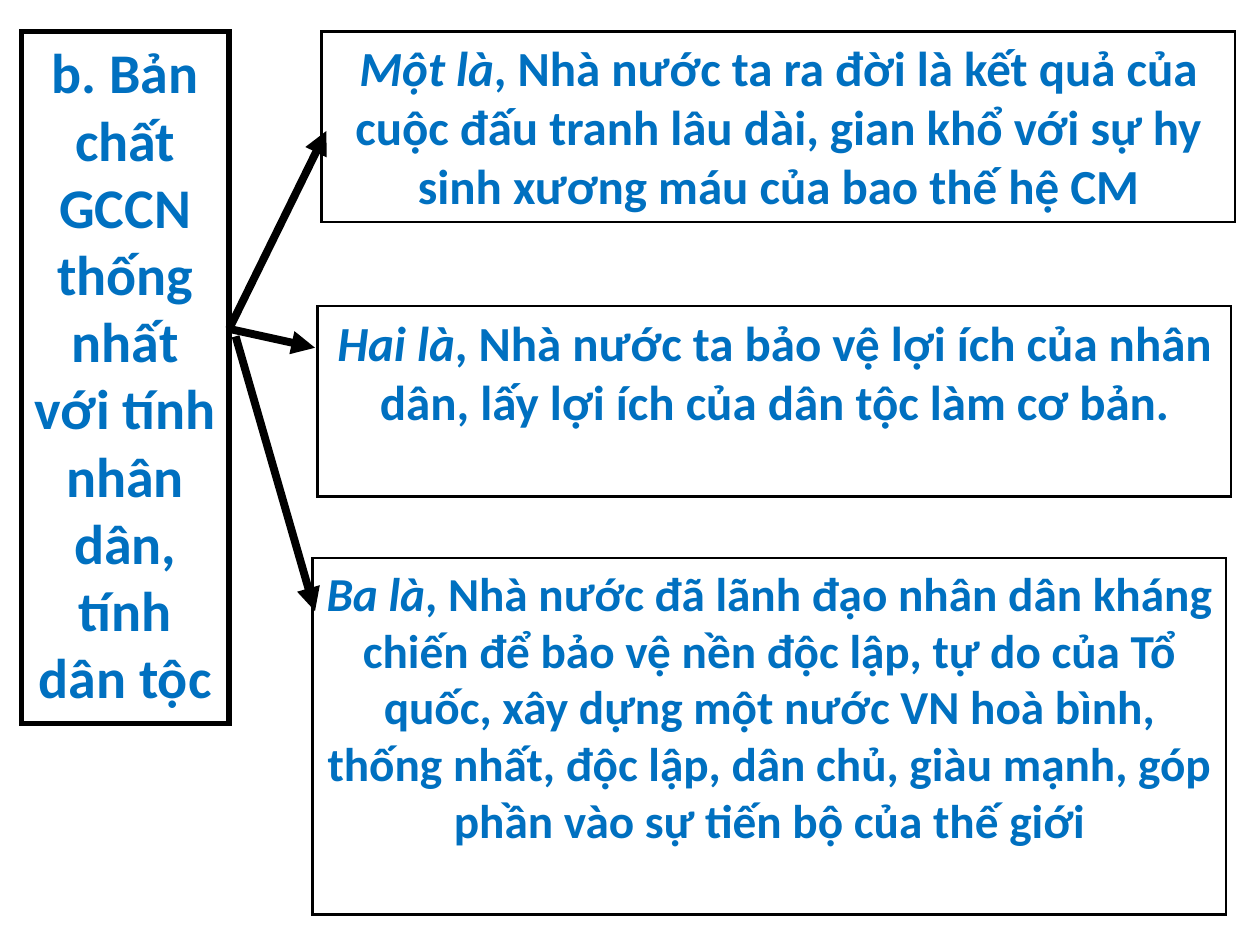
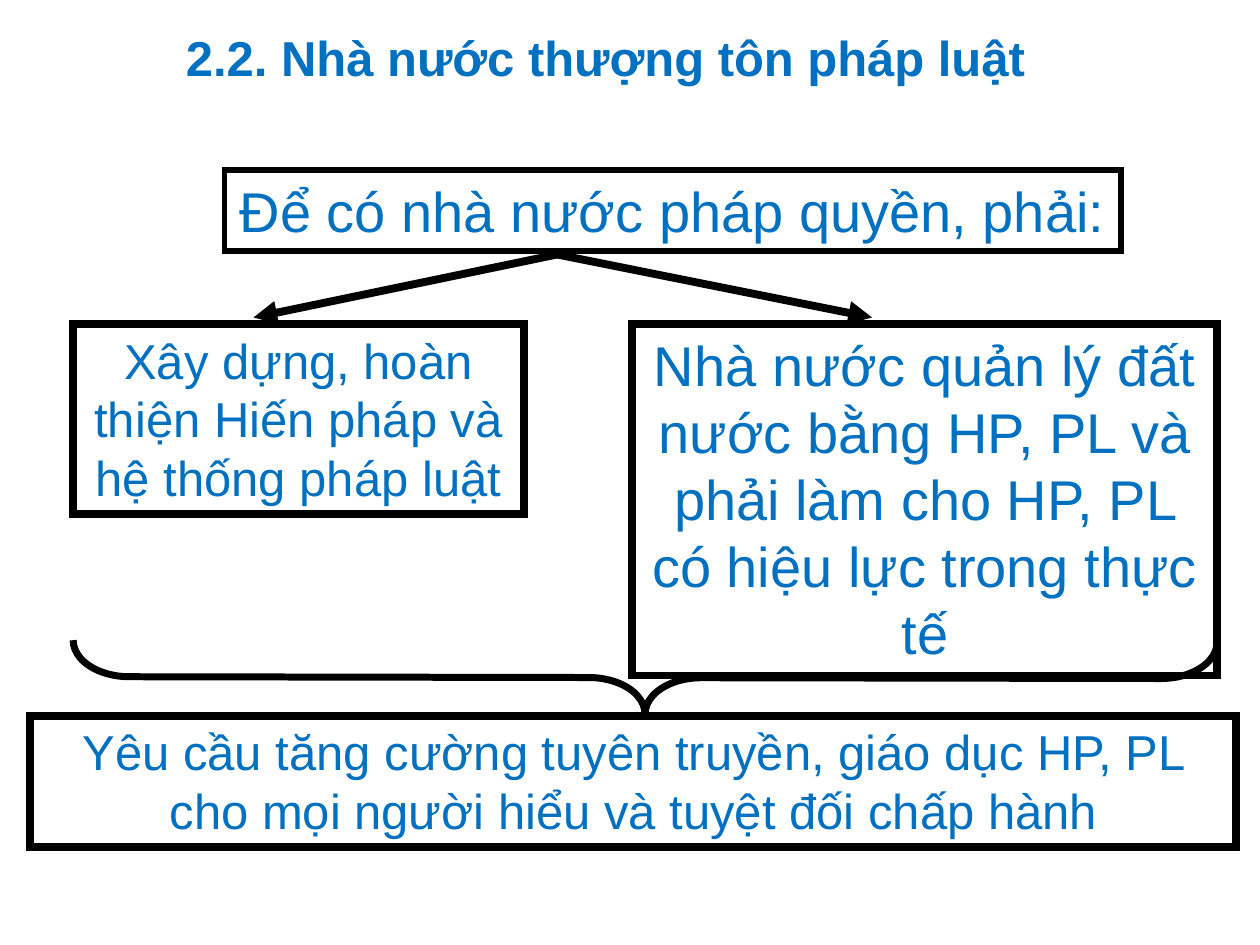
from lxml import etree
from pptx import Presentation
from pptx import util as u
from pptx.dml.color import RGBColor
from pptx.enum import shapes as s, text as t
from pptx.oxml import ns

BLUE = RGBColor(0x00, 0x70, 0xC0)
BLACK = RGBColor(0x00, 0x00, 0x00)
WHITE = RGBColor(0xFF, 0xFF, 0xFF)


def cm(*sizes):
    return [u.Cm(size) for size in sizes]


def write(shape, words, lead="", size=28, font="Arial", bold=False, wrap=True):
    frame = shape.text_frame
    frame.word_wrap = wrap
    frame.auto_size = t.MSO_AUTO_SIZE.NONE
    frame.vertical_anchor = t.MSO_ANCHOR.TOP
    para = frame.paragraphs[0]
    para.alignment = t.PP_ALIGN.CENTER
    for part, slant in ((lead, True), (words, False)):
        if part:
            run = para.add_run()
            run.text = part
            run.font.name = font
            run.font.size = u.Pt(size)
            run.font.bold = bold
            run.font.italic = slant
            run.font.color.rgb = BLUE


def stroke(shape, width, tag, **attrs):
    shape.line.color.rgb = BLACK
    shape.line.width = u.Pt(width)
    line = shape.element.spPr.find(ns.qn("a:ln"))
    etree.SubElement(line, ns.qn(tag), **attrs)


def draw(slide, kind, place, width, fill=None):
    shape = slide.shapes.add_shape(kind, *cm(*place))
    shape.shadow.inherit = False
    if fill is None:
        shape.fill.background()
    else:
        shape.fill.solid()
        shape.fill.fore_color.rgb = fill
    stroke(shape, width, "a:miter", lim="800000")
    return shape


def box(slide, place, words, width=4.5, fill=None, **style):
    shape = draw(slide, s.MSO_SHAPE.RECTANGLE, place, width, fill)
    write(shape, words, **style)


def arrow(slide, start, end):
    line = slide.shapes.add_connector(s.MSO_CONNECTOR.STRAIGHT, *cm(*start, *end))
    stroke(line, 4.5, "a:tailEnd", type="triangle")
    etree.SubElement(line.element.spPr, ns.qn("a:effectLst"))


def brace(slide, place):
    shape = draw(slide, s.MSO_SHAPE.LEFT_BRACE, place, 4)
    shape.rotation = 270.1
    shape.adjustments[0] = 0.77
    shape.adjustments[1] = 0.5


def title(slide, place, words):
    shape = slide.shapes.title
    shape.left, shape.top, shape.width, shape.height = cm(*place)
    write(shape, words, bold=True)


def nature(slide):
    style = dict(font="Calibri", bold=True)
    box(slide, (0.43, 0.64, 4.19, 13.94),
        "b. Bản chất GCCN thống nhất với tính nhân dân, tính dân tộc",
        width=3, fill=WHITE, size=32, **style)
    points = [
        (6.48, 0.64, 3.84, 28, "Một là",
         ", Nhà nước ta ra đời là kết quả của cuộc đấu tranh lâu dài, "
         "gian khổ với sự hy sinh xương máu của bao thế hệ CM"),
        (6.4, 6.17, 3.84, 28, "Hai là",
         ", Nhà nước ta bảo vệ lợi ích của nhân dân, "
         "lấy lợi ích của dân tộc làm cơ bản."),
        (6.3, 11.25, 7.19, 27, "Ba là",
         ", Nhà nước đã lãnh đạo nhân dân kháng chiến để bảo vệ nền độc lập, "
         "tự do của Tổ quốc, xây dựng một nước VN hoà bình, thống nhất, "
         "độc lập, dân chủ, giàu mạnh, góp phần vào sự tiến bộ của thế giới"),
    ]
    for left, top, height, size, lead, words in points:
        box(slide, (left, top, 18.42, height), words,
            width=1.5, lead=lead, size=size, **style)
    root = (4.62, 6.63)
    arrow(slide, root, (6.58, 2.64))
    arrow(slide, root, (6.35, 7.01))
    arrow(slide, (4.75, 6.78), (6.35, 12.32))


def law(slide):
    title(slide, (-0.99, 0.43, 26.39, 1.45),
          "2.2. Nhà nước thượng tôn pháp luật")
    box(slide, (4.52, 3.43, 18.08, 1.63), "Để có nhà nước pháp quyền, phải:",
        width=3, size=32, wrap=False)
    box(slide, (1.47, 6.53, 9.09, 3.84),
        "Xây dựng, hoàn thiện Hiến pháp và hệ thống pháp luật")
    box(slide, (12.75, 6.53, 11.79, 7.09),
        "Nhà nước quản lý đất nước bằng HP, PL và phải làm cho HP, PL "
        "có hiệu lực trong thực tế", size=32)
    for end in (5.11, 17.58):
        arrow(slide, (11.23, 5.13), (end, 6.4))
    box(slide, (0.61, 14.43, 24.31, 2.64),
        "Yêu cầu tăng cường tuyên truyền, giáo dục HP, PL "
        "cho mọi người hiểu và tuyệt đối chấp hành")
    brace(slide, (12.27, 2.13, 1.47, 23.06))


def main():
    deck = Presentation()
    deck.slide_width, deck.slide_height = cm(25.4, 19.05)
    for layout, build in ((6, nature), (5, law)):
        build(deck.slides.add_slide(deck.slide_layouts[layout]))
    deck.save("out.pptx")


if __name__ == "__main__":
    main()
